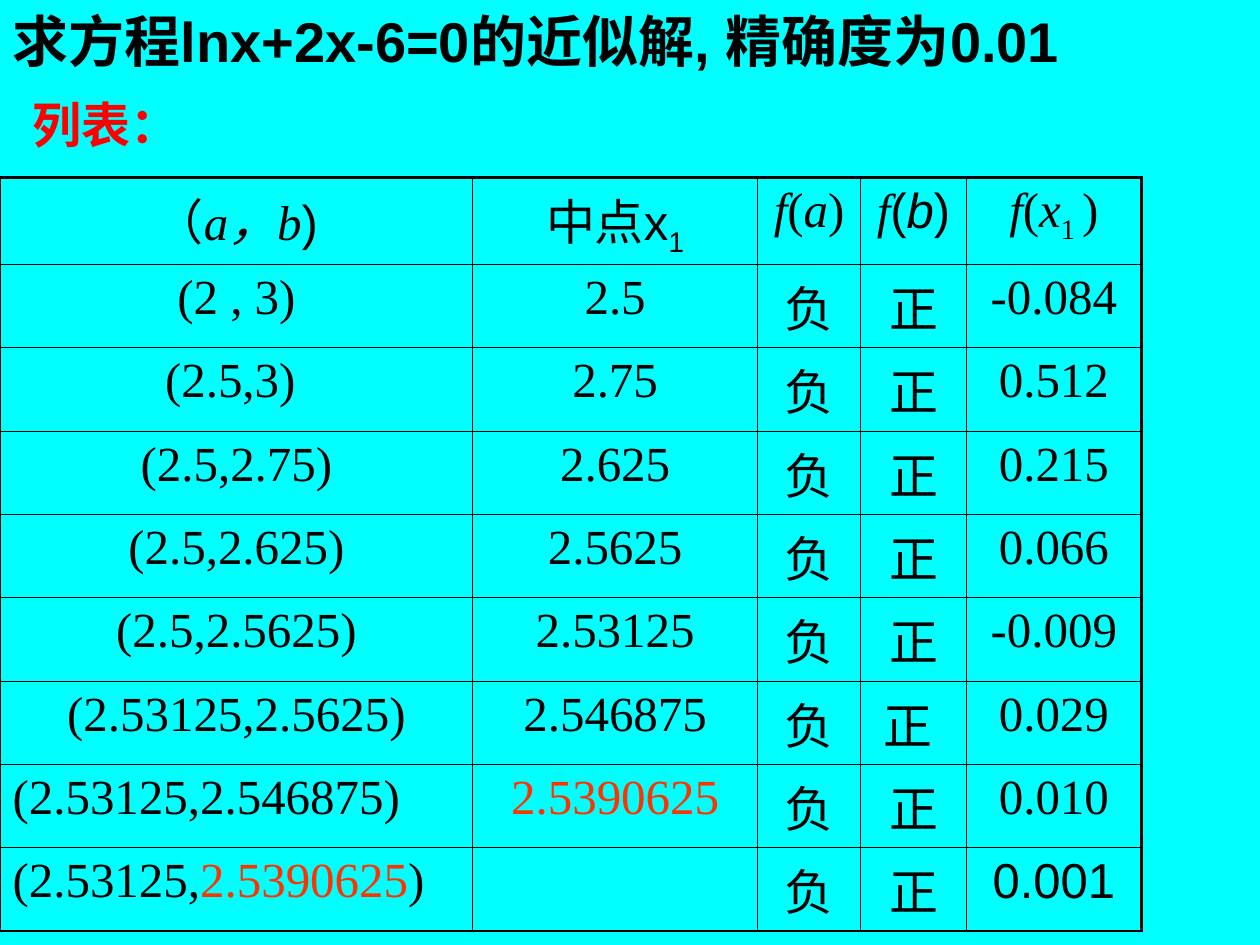
from lxml import etree
from pptx import Presentation
from pptx.dml.color import RGBColor
from pptx.enum.text import MSO_ANCHOR, PP_ALIGN
from pptx.oxml.ns import qn
from pptx.util import Cm, Pt

LEFT, MID = PP_ALIGN.LEFT, PP_ALIGN.CENTER
TOP = MSO_ANCHOR.TOP
COLORS = {"back": "00FFFF", "ink": "000000", "red": "FF0000", "mark": "FF3300"}
SANS = {"name": "Arial", "size": Pt(28)}
SERIF = {"name": "Times New Roman", "size": Pt(28)}
SLANT = {**SERIF, "italic": True}
HEAVY = {**SANS, "bold": True}
TITLE = {**HEAVY, "size": Pt(32)}
MARK = {**SERIF, "color": "mark"}
SUB = -25000
THICK, THIN = 1.5, 0.45

WIDTHS = [9.53, 5.74, 2.08, 2.13, 3.53]
HEIGHTS = [1.75] + [1.68] * 8
HEAD = [
    [("（", SANS), ("a", SLANT), ("，", {**SANS, "italic": True}), ("b", SLANT), (")", SANS)],
    [("中点x", SANS), ("1", {**SANS, "base": SUB})],
    [("f", SLANT), ("(", SERIF), ("a", SLANT), (")", SERIF)],
    [("f", SLANT), ("(", SANS), ("b", {**SANS, "italic": True}), (")", SANS)],
    [("f", SLANT), ("(", SERIF), ("x", SLANT), ("1 ", {**SERIF, "base": SUB}), (")", SERIF)],
]
STEPS = [
    ("(2 , 3)", "2.5", "-0.084"),
    ("(2.5,3) ", "2.75", "0.512"),
    ("(2.5,2.75)", "2.625", "0.215"),
    ("(2.5,2.625)", "2.5625", "0.066"),
    ("(2.5,2.5625)", "2.53125", "-0.009"),
    ("(2.53125,2.5625)", "2.546875", "0.029"),
    ("(2.53125,2.546875)", "2.5390625", "0.010"),
    ("(2.53125,2.5390625)", "", "0.001"),
]


def write(para, runs, align=LEFT):
    para.alignment = align
    for text, form in runs:
        run = para.add_run()
        run.text = text
        font = run.font
        font.color.rgb = RGBColor.from_string(COLORS[form.get("color", "ink")])
        for key, value in form.items():
            if key == "base":
                font._element.set("baseline", str(value))
            elif key != "color":
                setattr(font, key, value)


def add_text(slide, box, runs):
    frame = slide.shapes.add_textbox(*map(Cm, box)).text_frame
    frame.word_wrap = True
    frame.vertical_anchor = TOP
    write(frame.paragraphs[0], runs)


def edge(cell, sides):
    props = cell._tc.get_or_add_tcPr()
    for side, width in sides.items():
        line = etree.SubElement(props, qn("a:ln" + side), w=str(Pt(width)))
        fill = etree.SubElement(line, qn("a:solidFill"))
        etree.SubElement(fill, qn("a:srgbClr"), val=COLORS["ink"])


def split(text):
    root = STEPS[-2][1]
    head, mark, tail = text.partition(root)
    return [(part, form) for part, form in ((head, SERIF), (mark, MARK), (tail, SERIF)) if part]


def list_rows():
    rows = [HEAD]
    for span, mid, value in STEPS:
        form = SANS if not mid else SERIF
        rows.append([split(span), split(mid), [("负", SANS)],
                     [("正 " if mid == "2.546875" else "正", SANS)], [(value, form)]])
    return rows


def add_grid(slide, box):
    rows = list_rows()
    last, end = len(rows) - 1, len(WIDTHS) - 1
    table = slide.shapes.add_table(last + 1, end + 1, *map(Cm, box)).table
    table.first_row = table.horz_banding = False
    for col, width in zip(table.columns, WIDTHS):
        col.width = Cm(width)
    for row, height in zip(table.rows, HEIGHTS):
        row.height = Cm(height)
    for r, row in enumerate(rows):
        for c, runs in enumerate(row):
            cell = table.cell(r, c)
            outer = {"L": c == 0, "R": c == end, "T": r == 0, "B": r == last}
            edge(cell, {side: THICK if out else THIN for side, out in outer.items()})
            cell.fill.background()
            write(cell.text_frame.paragraphs[0], runs,
                  LEFT if c == 0 and r >= last - 1 else MID)


def main():
    deck = Presentation()
    deck.slide_width, deck.slide_height = Cm(25.4), Cm(19.05)
    slide = deck.slides.add_slide(deck.slide_layouts[6])
    fill = slide.background.fill
    fill.solid()
    fill.fore_color.rgb = RGBColor.from_string(COLORS["back"])
    add_text(slide, (0.41, 1.78, 5.59, 1.8), [("列表：", {**HEAVY, "color": "red"})])
    add_grid(slide, (0, 3.58, sum(WIDTHS), sum(HEIGHTS)))
    add_text(slide, (0, 0, 25.4, 1.63), [("求方程lnx+2x-6=0的近似解, 精确度为0.01", TITLE)])
    deck.save("out.pptx")


if __name__ == "__main__":
    main()
